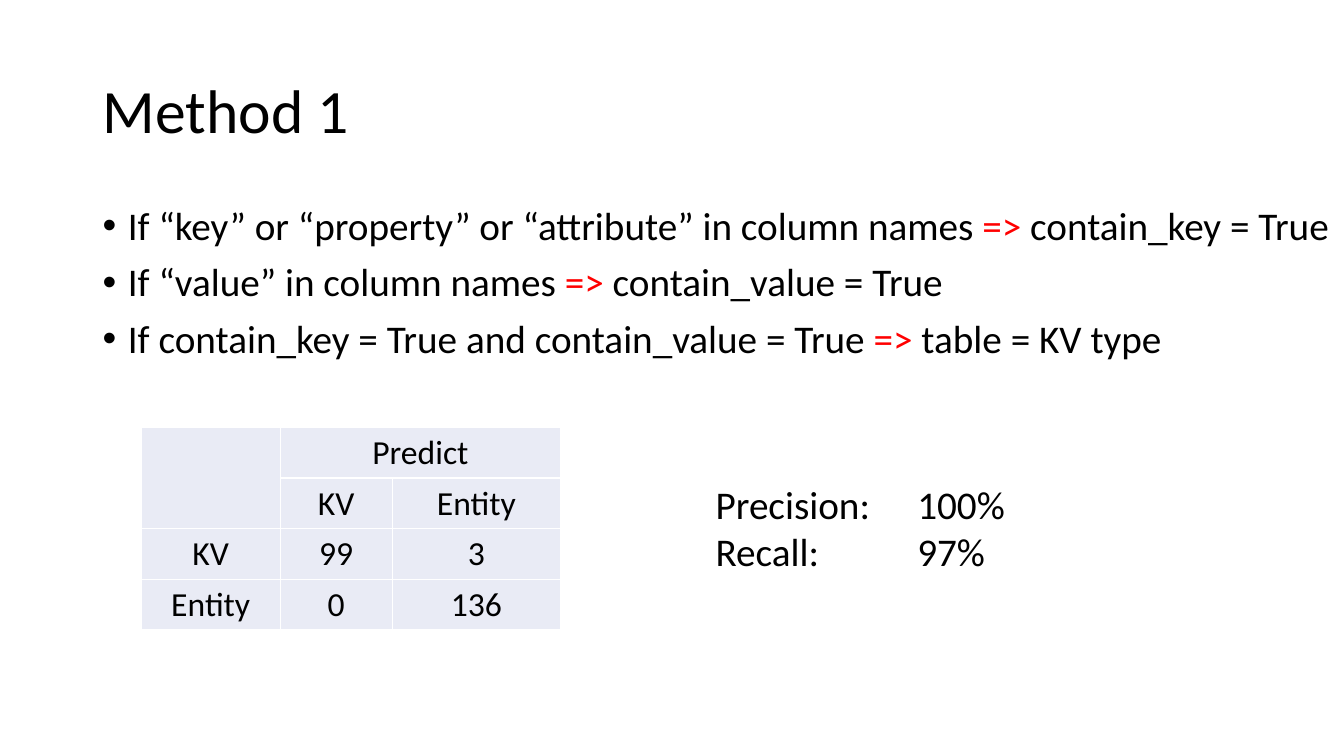
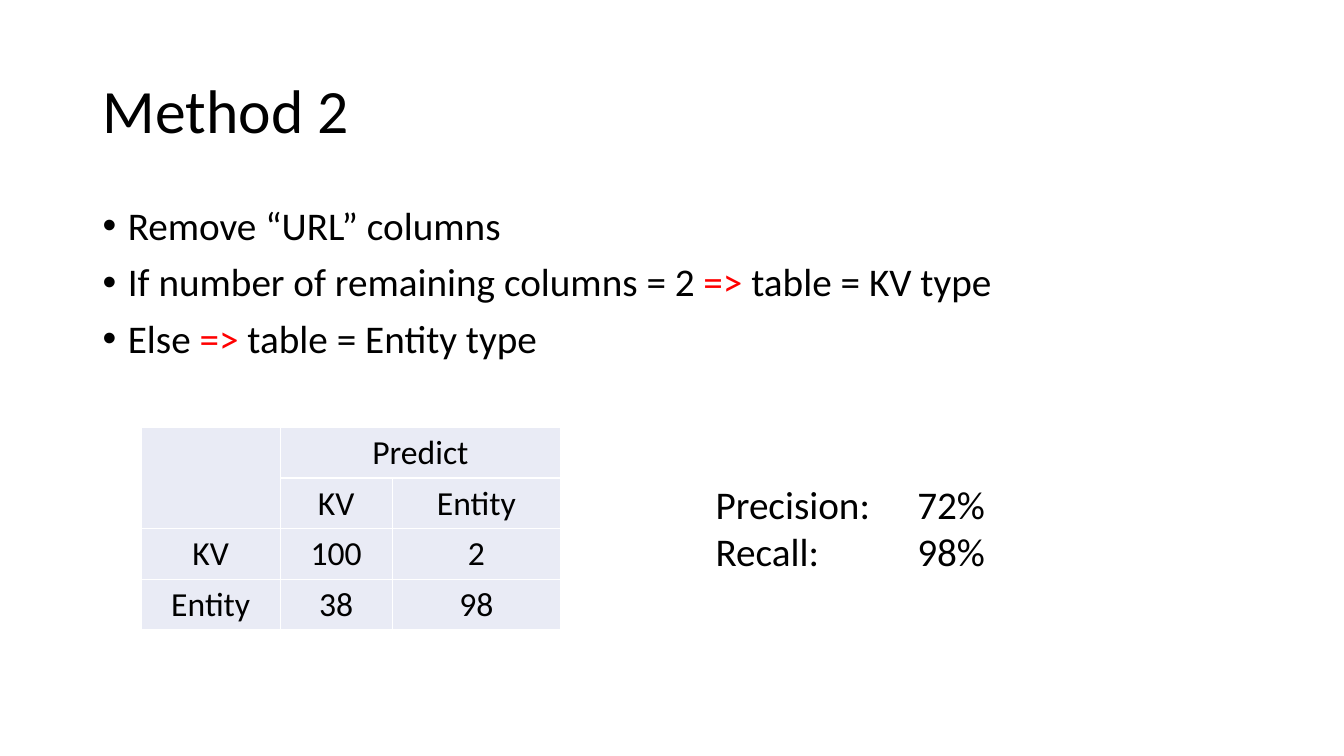
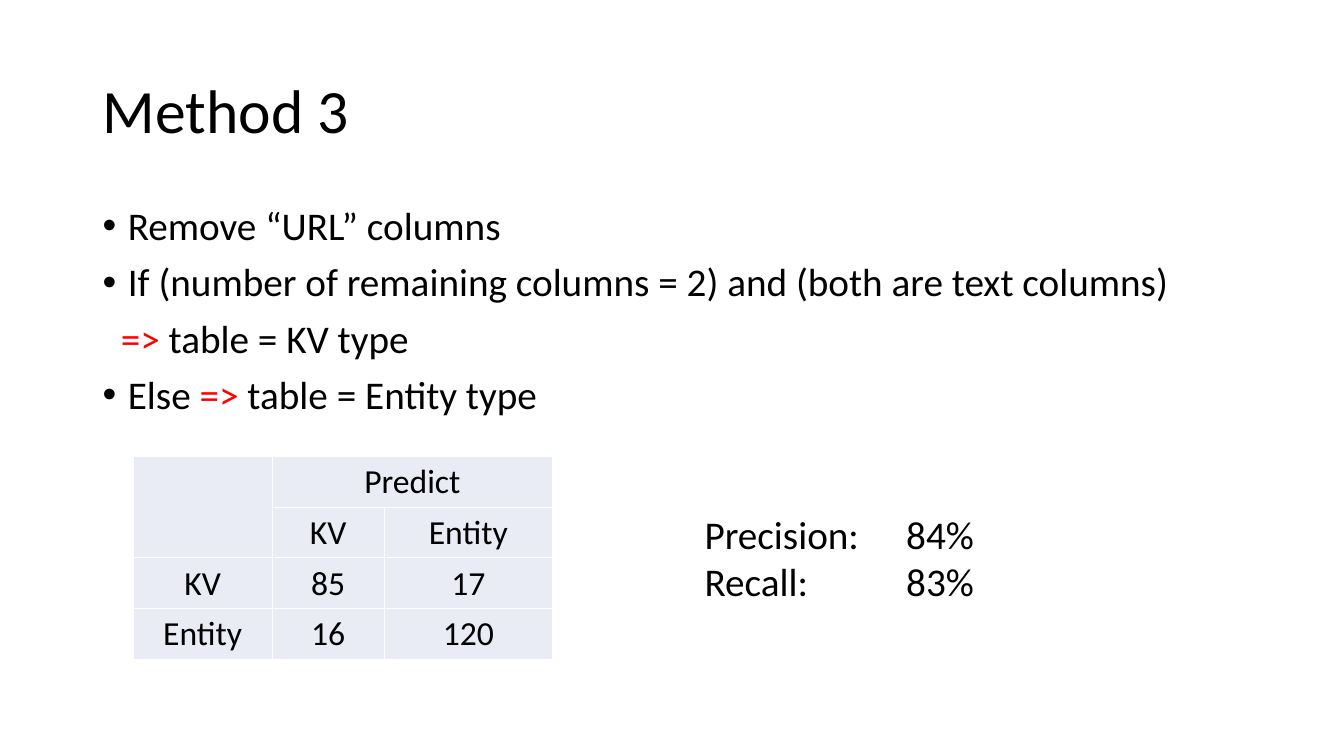
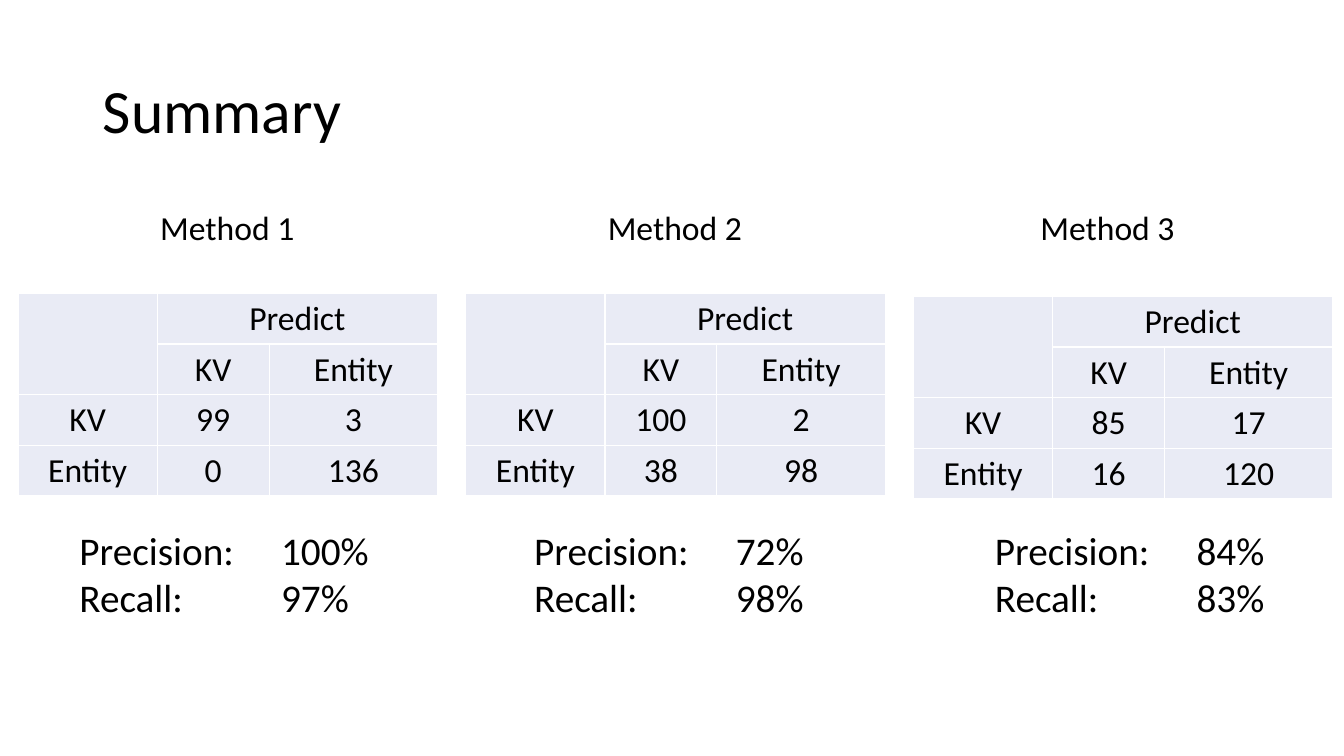
from lxml.etree import SubElement
from pptx import Presentation
from pptx.dml.color import RGBColor
from pptx.enum.text import MSO_ANCHOR, MSO_AUTO_SIZE, PP_ALIGN
from pptx.oxml.ns import qn
from pptx.util import Inches, Pt

BLACK = RGBColor(0, 0, 0)
RED = RGBColor(255, 0, 0)
PALE = RGBColor(0xE9, 0xEB, 0xF5)
FONT = "Calibri"
ARROW = "=>"

COUNTS = {
    "Method 1": ((99, 3), (0, 136)),
    "Method 2": ((100, 2), (38, 98)),
    "Method 3": ((85, 17), (16, 120)),
}


def write(para, text, size=28, color=BLACK, align=PP_ALIGN.LEFT, line=None, before=None):
    para.alignment = align
    para.line_spacing = line
    para.space_before = before
    head, mark, tail = text.partition(ARROW)
    for part, tint in ((head, color), (mark, RED), (tail, color)):
        if part:
            run = para.add_run()
            run.text = part
            run.font.name = FONT
            run.font.size = Pt(size)
            run.font.color.rgb = tint


def edge(cell):
    props = cell._tc.get_or_add_tcPr()
    for side in ("lnL", "lnR", "lnT", "lnB"):
        line = SubElement(props, qn(f"a:{side}"), w=str(Pt(1)))
        fill = SubElement(line, qn("a:solidFill"))
        SubElement(fill, qn("a:srgbClr"), val="FFFFFF")


class Deck:
    def __init__(self):
        self.file = Presentation()
        self.file.slide_width = Inches(13.33)
        self.file.slide_height = Inches(7.5)
        self.slide = None

    def page(self, title):
        self.slide = self.file.slides.add_slide(self.file.slide_layouts[5])
        shape = self.slide.shapes.title
        shape.left, shape.top = Inches(0.92), Inches(0.4)
        shape.width, shape.height = Inches(11.5), Inches(1.45)
        frame = shape.text_frame
        frame.auto_size = MSO_AUTO_SIZE.NONE
        frame.vertical_anchor = MSO_ANCHOR.MIDDLE
        write(frame.paragraphs[0], title, size=44, line=0.9)

    def text(self, left, top, width, height, lines, wrap=True, **style):
        box = self.slide.shapes.add_textbox(
            Inches(left), Inches(top), Inches(width), Inches(height))
        frame = box.text_frame
        frame.word_wrap = wrap
        for num, line in enumerate(lines):
            para = frame.add_paragraph() if num else frame.paragraphs[0]
            write(para, line, **style)
        return frame.paragraphs

    def list(self, lines, width=11.5):
        paras = self.text(0.92, 2, width, 4.76, lines, line=0.9, before=Pt(10))
        for para, line in zip(paras, lines):
            props = para._p.get_or_add_pPr()
            if line.startswith(ARROW):
                props.set("marL", str(Inches(0.18)))
                continue
            props.set("marL", str(Inches(0.25)))
            props.set("indent", str(-Inches(0.25)))
            SubElement(props, qn("a:buFont"), typeface="Arial")
            SubElement(props, qn("a:buChar"), char="•")

    def table(self, left, top, counts):
        rows = [("", "Predict", ""), ("", "KV", "Entity"),
                ("KV", *counts[0]), ("Entity", *counts[1])]
        grid = self.slide.shapes.add_table(
            4, 3, Inches(left), Inches(top), Inches(4.16), Inches(2.01)).table
        grid.first_row = grid.horz_banding = False
        for col, width in zip(grid.columns, (1.38, 1.11, 1.67)):
            col.width = Inches(width)
        for y, row in enumerate(rows):
            for x, value in enumerate(row):
                cell = grid.cell(y, x)
                edge(cell)
                cell.fill.solid()
                cell.fill.fore_color.rgb = PALE
                cell.vertical_anchor = MSO_ANCHOR.MIDDLE
                cell.margin_left = cell.margin_right = cell.margin_top = Inches(0.01)
                cell.margin_bottom = 0
                write(cell.text_frame.paragraphs[0], str(value), size=24,
                      align=PP_ALIGN.CENTER)
        grid.cell(0, 0).merge(grid.cell(1, 0))
        grid.cell(0, 1).merge(grid.cell(0, 2))

    def score(self, left, top, width, counts):
        (hit, miss), (false, _) = counts
        lines = (f"Precision:\t{hit / (hit + false):.0%}",
                 f"Recall:\t{hit / (hit + miss):.0%}")
        for para in self.text(left, top, width, 1.04, lines):
            tabs = SubElement(para._p.get_or_add_pPr(), qn("a:tabLst"))
            SubElement(tabs, qn("a:tab"), pos=str(Inches(2)), algn="l")

    def method(self, name, lines, width=11.5, left=1.4, top=4.24, side=7):
        self.page(name)
        self.list(lines, width)
        self.table(left, top, COUNTS[name])
        self.score(side, top + 0.48, 4.16, COUNTS[name])


def main():
    deck = Deck()
    deck.method("Method 1", (
        "If “key” or “property” or “attribute” in column names => contain_key = True",
        "If “value” in column names => contain_value = True",
        "If contain_key = True and contain_value = True => table = KV type",
    ), width=12.42)
    deck.method("Method 2", (
        "Remove “URL” columns",
        "If number of remaining columns = 2 => table = KV type",
        "Else => table = Entity type",
    ))
    deck.method("Method 3", (
        "Remove “URL” columns",
        "If (number of remaining columns = 2) and (both are text columns)",
        "=> table = KV type",
        "Else => table = Entity type",
    ), left=1.32, top=4.53, side=6.89)

    deck.page("Summary")
    spots = ((2.91, 1.49, 0.69, 3.14), (2.91, 5.93, 5.2, 2.99), (2.94, 10.22, 9.77, 3.33))
    for num, (name, counts) in enumerate(COUNTS.items()):
        top, label, side, width = spots[num]
        deck.table(0.18 + 4.44 * num, top, counts)
        deck.score(side, 5.17, width, counts)
        deck.text(label, 2, 1.54, 0.5, [name], wrap=False, size=24)
    deck.file.save("out.pptx")


if __name__ == "__main__":
    main()
